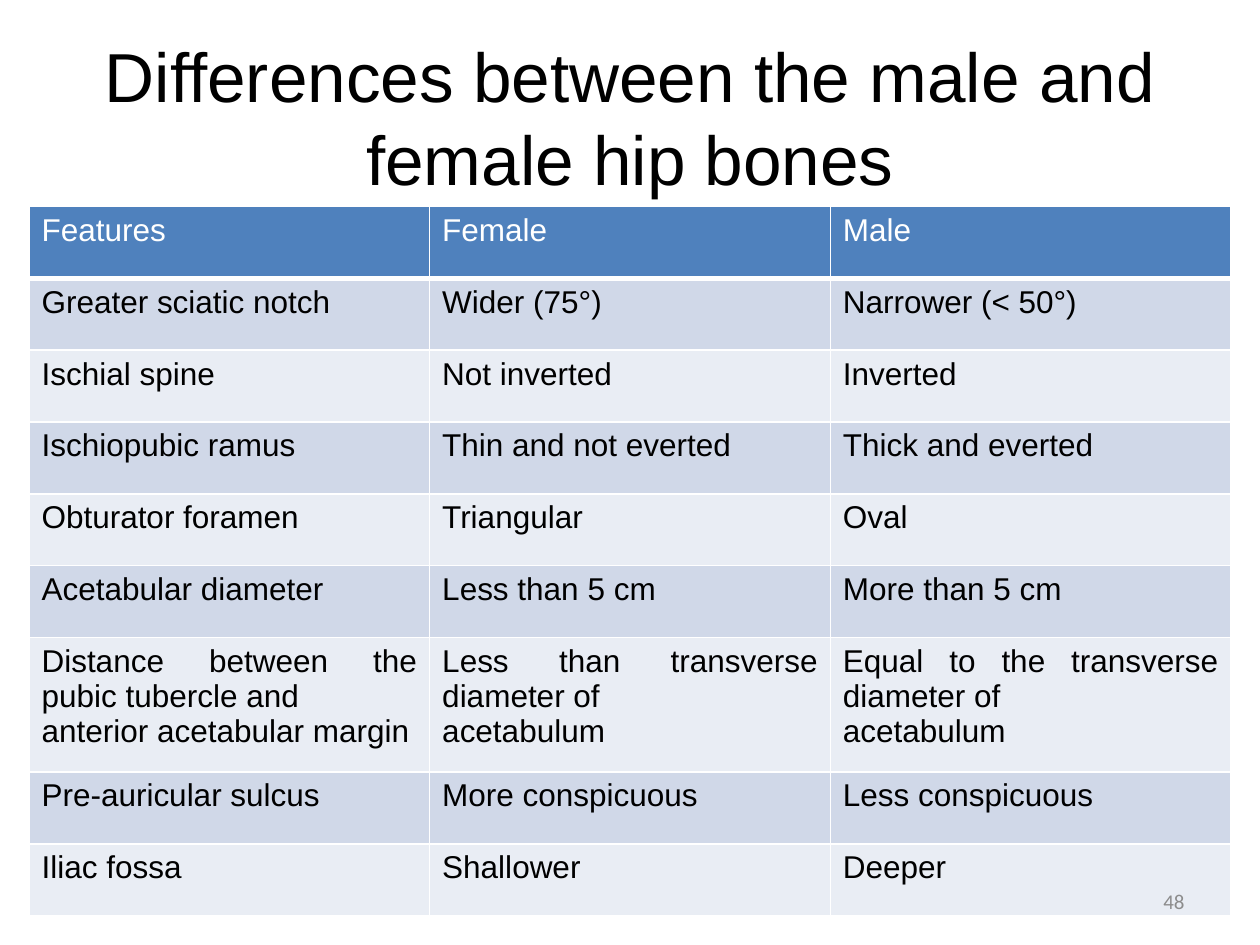
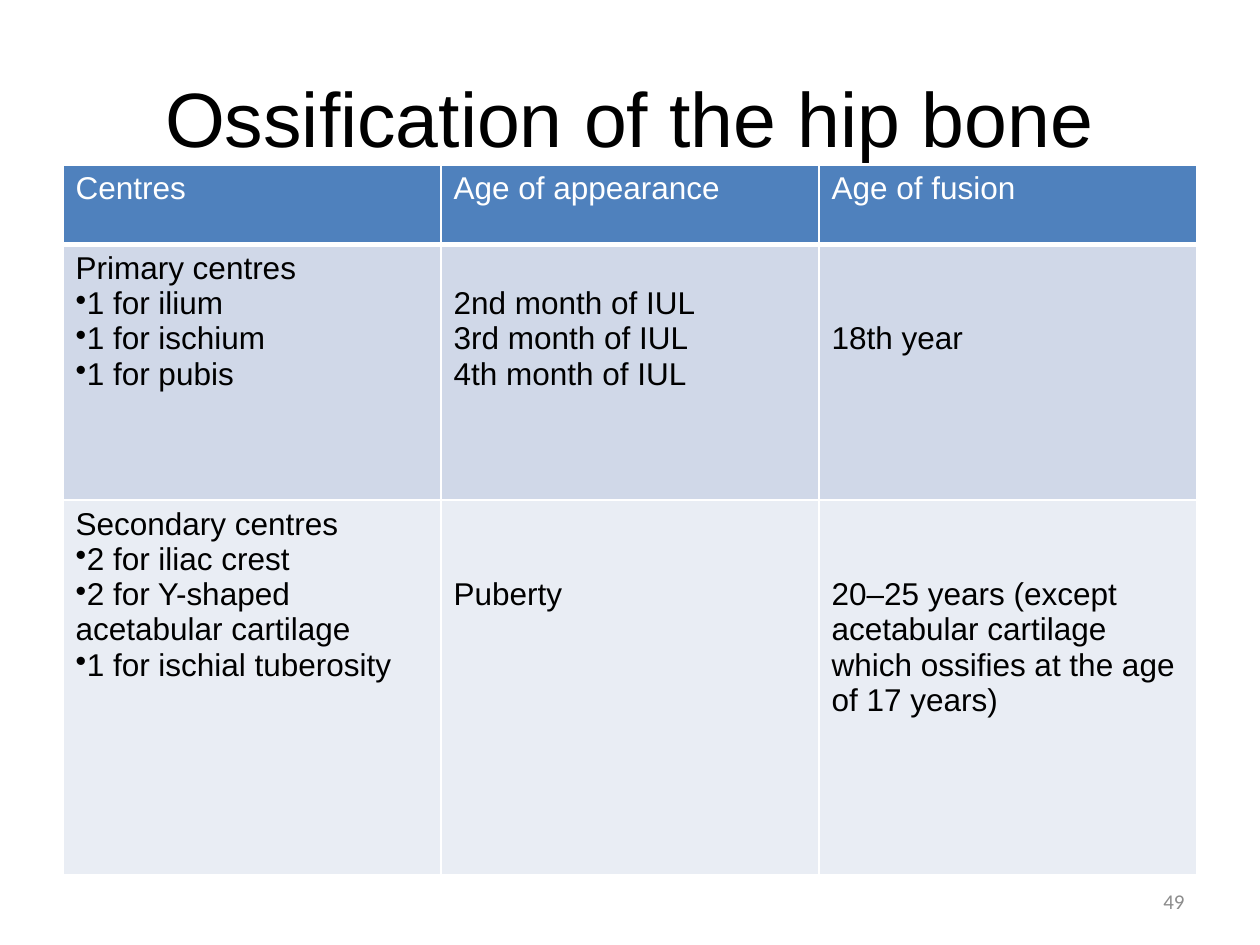
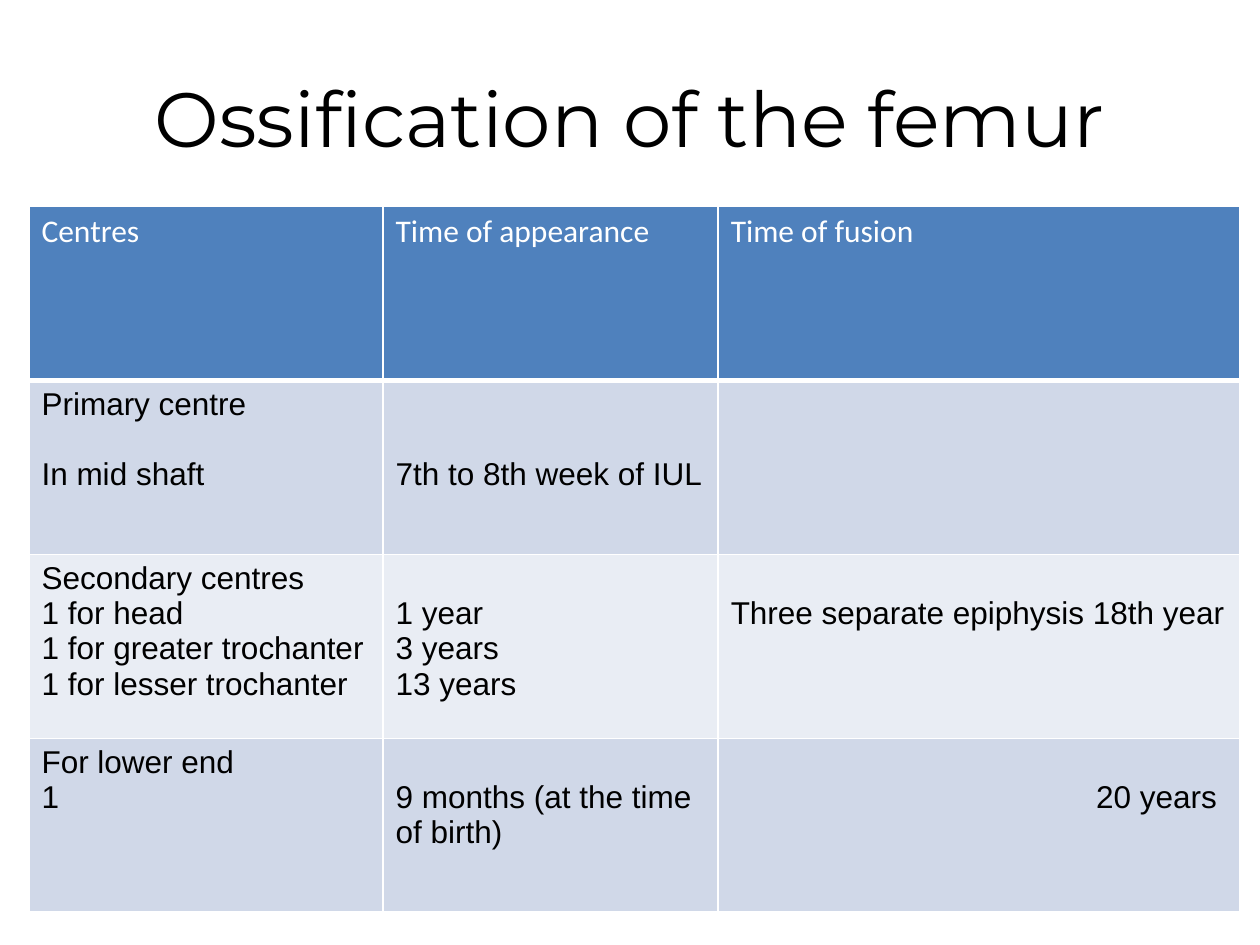
import dataclasses

import lxml.etree
import pptx
import pptx.dml.color
import pptx.enum.text
import pptx.oxml.ns
import pptx.util

Inches = pptx.util.Inches
Align = pptx.enum.text.PP_ALIGN
Anchor = pptx.enum.text.MSO_ANCHOR

BLACK = "000000"
WHITE = "FFFFFF"
GREY = "8C8C8C"
HEADER_FILL = "4F81BD"
BAND_FILLS = ("D0D8E8", "E9EDF4")
LINE_HEIGHT = 0.28
CELL_MARGIN = 0.05


@dataclasses.dataclass(frozen=True)
class Entry:
    lines: tuple[str, ...] = ()
    lines_down: int = 0
    indent: float = 0
    bulleted: bool = False
    gap: float = 0


@dataclasses.dataclass(frozen=True)
class TablePage:
    title: str
    left: float
    top: float
    columns: tuple[float, ...]
    heights: tuple[float, ...]
    headings: tuple[str, ...]
    rows: tuple[tuple[Entry | str, ...], ...]
    title_size: float = 44
    title_font: str = "Arial"
    heading_font: str = "Arial"
    align: Align = Align.LEFT
    number: str = ""


HIP_DIFFERENCES = TablePage(
    title="Differences between the male and female hip bones",
    title_size=39.6,
    left=0.23,
    top=1.64,
    columns=(3.18,) * 3,
    heights=(0.57,) * 6 + (1.07,) + (0.57,) * 2,
    align=Align.JUSTIFY,
    number="48",
    headings=("Features", "Female", "Male"),
    rows=(
        ("Greater sciatic notch", "Wider (75°)", "Narrower (< 50°)"),
        ("Ischial spine", "Not inverted", "Inverted"),
        ("Ischiopubic ramus", "Thin and not everted", "Thick and everted"),
        ("Obturator foramen", "Triangular", "Oval"),
        ("Acetabular diameter", "Less than 5 cm", "More than 5 cm"),
        (
            Entry(("Distance between the pubic tubercle and", "anterior acetabular margin")),
            Entry(("Less than transverse diameter of", "acetabulum")),
            Entry(("Equal to the transverse diameter of", "acetabulum")),
        ),
        ("Pre-auricular sulcus", "More conspicuous", "Less conspicuous"),
        ("Iliac fossa", "Shallower", "Deeper"),
    ),
)

HIP_OSSIFICATION = TablePage(
    title="Ossification of the hip bone",
    left=0.5,
    top=1.31,
    columns=(3,) * 3,
    heights=(0.63, 2.03, 2.97),
    number="49",
    headings=("Centres", "Age of appearance", "Age of fusion"),
    rows=(
        (
            Entry(
                ("Primary centres", "1 for ilium", "1 for ischium", "1 for pubis"),
                bulleted=True,
            ),
            Entry(("2nd month of IUL", "3rd month of IUL", "4th month of IUL"), lines_down=1),
            Entry(("18th year",), lines_down=2),
        ),
        (
            Entry(
                (
                    "Secondary centres",
                    "2 for iliac crest",
                    "2 for Y-shaped acetabular cartilage",
                    "1 for ischial tuberosity",
                ),
                bulleted=True,
            ),
            Entry(("Puberty",), lines_down=2),
            Entry(
                (
                    "20–25 years (except acetabular cartilage",
                    "which ossifies at the age of 17 years)",
                ),
                lines_down=2,
            ),
        ),
    ),
)

FEMUR_OSSIFICATION = TablePage(
    title="Ossification of the femur",
    title_font="Montserrat",
    heading_font="Calibri",
    left=0.23,
    top=1.64,
    columns=(2.81, 2.66, 4.14),
    heights=(1.38, 1.38, 1.46, 1.38),
    headings=("Centres", "Time of appearance", "Time of fusion"),
    rows=(
        (
            Entry(("Primary centre", "In mid shaft"), gap=LINE_HEIGHT),
            Entry(("7th to 8th week of IUL",), lines_down=2),
            Entry(),
        ),
        (
            Entry(
                (
                    "Secondary centres",
                    "1 for head",
                    "1 for greater trochanter",
                    "1 for lesser trochanter",
                )
            ),
            Entry(("1 year", "3 years", "13 years"), lines_down=1),
            Entry(("Three separate epiphysis 18th year",), lines_down=1),
        ),
        (
            Entry(("For lower end", "1")),
            Entry(("9 months (at the time of birth)",), lines_down=1),
            Entry(("20 years",), lines_down=1, indent=2.9),
        ),
    ),
)


def rgb(color: str) -> pptx.dml.color.RGBColor:
    return pptx.dml.color.RGBColor.from_string(color)


def write(para, text: str, *, size: float = 18, font: str = "Arial",
          color: str = BLACK, align: Align = Align.LEFT) -> None:
    para.alignment = align
    span = para.add_run()
    span.text = text
    span.font.size = pptx.util.Pt(size)
    span.font.name = font
    span.font.bold = False
    span.font.color.rgb = rgb(color)


def add_bullet(para) -> None:
    properties = para._p.get_or_add_pPr()
    properties.set("marL", "0")
    properties.set("indent", "0")
    bullet = lxml.etree.SubElement(properties, pptx.oxml.ns.qn("a:buChar"))
    bullet.set("char", "•")


def set_borders(cell, bottom_width: float) -> None:
    properties = cell._tc.get_or_add_tcPr()
    widths = {"a:lnL": 1, "a:lnR": 1, "a:lnT": 1, "a:lnB": bottom_width}
    for position, (tag, width) in enumerate(widths.items()):
        line = lxml.etree.Element(pptx.oxml.ns.qn(tag), w=str(pptx.util.Pt(width)))
        fill = lxml.etree.SubElement(line, pptx.oxml.ns.qn("a:solidFill"))
        lxml.etree.SubElement(fill, pptx.oxml.ns.qn("a:srgbClr"), val=WHITE)
        properties.insert(position, line)


def fill_cell(cell, entry: Entry | str, *, fill: str, color: str, font: str,
              align: Align, bottom_width: float) -> None:
    if isinstance(entry, str):
        entry = Entry((entry,))
    cell.fill.solid()
    cell.fill.fore_color.rgb = rgb(fill)
    set_borders(cell, bottom_width)
    cell.margin_top = Inches(CELL_MARGIN + entry.lines_down * LINE_HEIGHT)
    cell.margin_left = Inches(0.1 + entry.indent)
    frame = cell.text_frame
    for index, text in enumerate(entry.lines):
        para = frame.add_paragraph() if index else frame.paragraphs[0]
        if index and entry.gap:
            para.space_before = Inches(entry.gap)
        if index and entry.bulleted:
            add_bullet(para)
        write(para, text, color=color, font=font, align=align)


def add_title(slide, page: TablePage) -> None:
    title = slide.shapes.title
    title.left, title.top = Inches(0.5), Inches(0.3)
    title.width, title.height = Inches(9), Inches(1.25)
    title.text_frame.vertical_anchor = Anchor.MIDDLE
    write(title.text_frame.paragraphs[0], page.title, size=page.title_size,
          font=page.title_font, align=Align.CENTER)


def add_page_table(slide, page: TablePage) -> None:
    table = slide.shapes.add_table(
        len(page.heights), len(page.columns), Inches(page.left), Inches(page.top),
        Inches(sum(page.columns)), Inches(sum(page.heights)),
    ).table
    table.horz_banding = False
    for column, width in zip(table.columns, page.columns):
        column.width = Inches(width)
    for row, height in zip(table.rows, page.heights):
        row.height = Inches(height)
    for column, heading in enumerate(page.headings):
        fill_cell(table.cell(0, column), heading, fill=HEADER_FILL, color=WHITE,
                  font=page.heading_font, align=page.align, bottom_width=3)
    for index, entries in enumerate(page.rows):
        for column, entry in enumerate(entries):
            fill_cell(table.cell(index + 1, column), entry,
                      fill=BAND_FILLS[index % len(BAND_FILLS)], color=BLACK,
                      font="Arial", align=page.align, bottom_width=1)


def add_page_number(slide, number: str) -> None:
    box = slide.shapes.add_textbox(Inches(7.17), Inches(6.95), Inches(2.33), Inches(0.4))
    box.text_frame.word_wrap = True
    box.text_frame.vertical_anchor = Anchor.MIDDLE
    write(box.text_frame.paragraphs[0], number, size=12, font="Calibri",
          color=GREY, align=Align.RIGHT)


def main() -> None:
    deck = pptx.Presentation()
    deck.slide_width, deck.slide_height = Inches(10), Inches(7.5)
    title_only = deck.slide_layouts[5]
    for page in (HIP_DIFFERENCES, HIP_OSSIFICATION, FEMUR_OSSIFICATION):
        slide = deck.slides.add_slide(title_only)
        add_title(slide, page)
        add_page_table(slide, page)
        if page.number:
            add_page_number(slide, page.number)
    deck.save("out.pptx")


if __name__ == "__main__":
    main()
